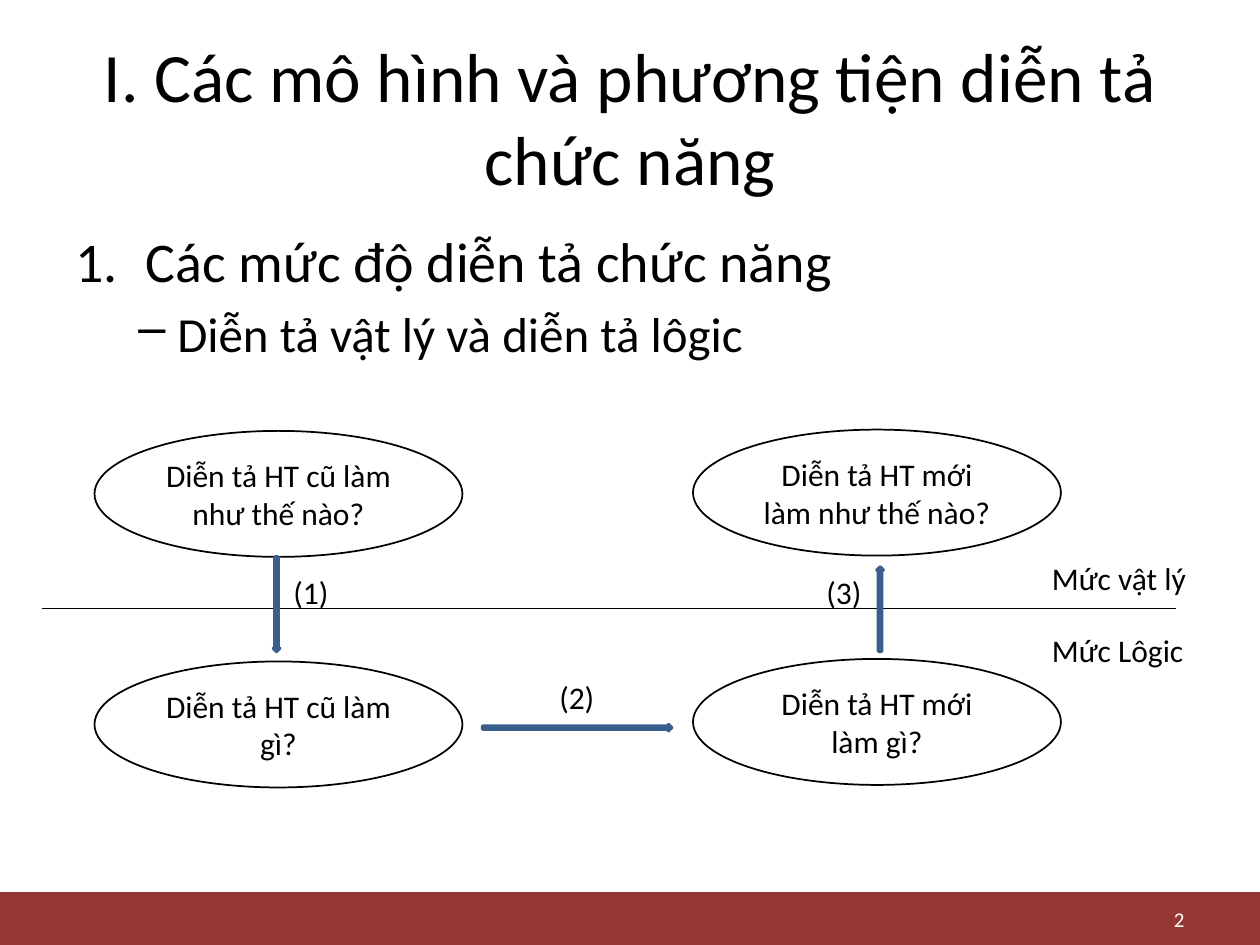
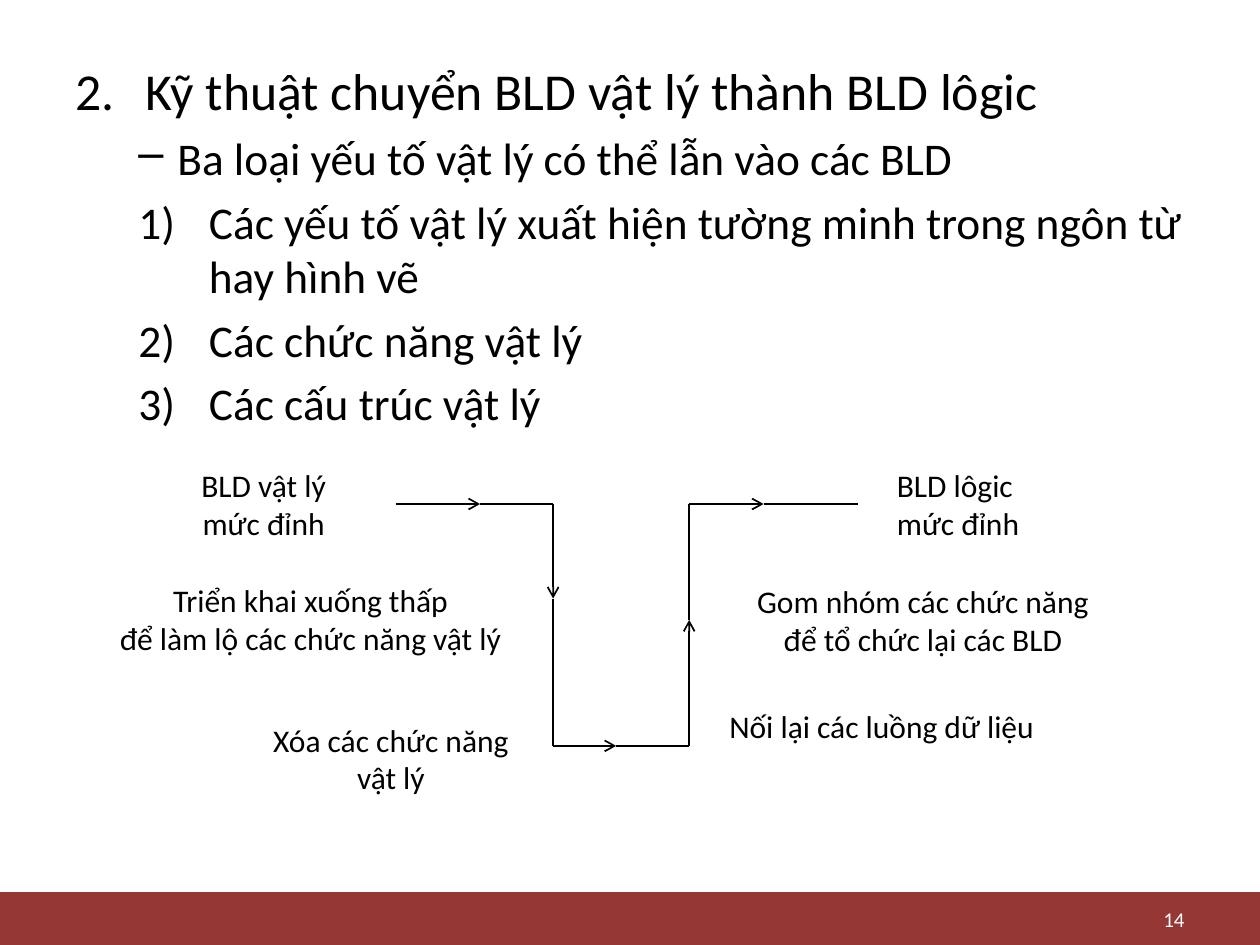
from itertools import pairwise

from lxml import etree
from pptx import Presentation
from pptx.dml.color import RGBColor
from pptx.enum.shapes import MSO_CONNECTOR as Connector, MSO_SHAPE as Shape
from pptx.enum.text import MSO_ANCHOR as Anchor, MSO_AUTO_SIZE as AutoSize, PP_ALIGN as Align
from pptx.oxml.ns import qn
from pptx.util import Inches, Pt

COLORS = {
    "text": "000000",
    "outline": "000000",
    "band": "953735",
    "page_number": "FFFFFF",
    "arrow": "4F81BD",
    "arrow_line": "3A5F8C",
}
FONT = "Calibri"
TITLE_ONLY, BLANK = 5, 6

# Outline styles: level, text indent, hanging indent, bullet tag, bullet attributes
OUTLINE = {
    "heading": (0, 0.56, 0.56, "a:buAutoNum", {"type": "arabicPeriod"}),
    "dash": (1, 0.81, 0.31, "a:buChar", {"char": "–"}),
    "numbered": (1, 1.06, 0.56, "a:buAutoNum", {"type": "arabicParenR"}),
}


def color(name):
    return RGBColor.from_string(COLORS[name])


class SlideBuilder:
    def __init__(self, presentation):
        self.presentation = presentation
        self.slide = None

    def start(self, page_number, title=None):
        """Add a slide with the shared band, page number and optional title."""
        layout = TITLE_ONLY if title else BLANK
        self.slide = self.presentation.slides.add_slide(self.presentation.slide_layouts[layout])
        self.shape(Shape.RECTANGLE, (0, 7.08, 10, 0.42), fill="band")
        if title:
            self.title(title)
        self.text((7.17, 7.17, 2.33, 0.25), [page_number], [Align.RIGHT], size=12,
                  ink="page_number", wrap=True, anchor=Anchor.MIDDLE)

    def run(self, paragraph, text, size, ink="text"):
        run = paragraph.add_run()
        run.text = text
        run.font.name = FONT
        run.font.size = Pt(size)
        run.font.color.rgb = color(ink)

    def title(self, text):
        title = self.slide.shapes.title
        title.left, title.top, title.width, title.height = map(Inches, (0.5, 0.3, 9, 1.25))
        frame = title.text_frame
        frame.auto_size = AutoSize.NONE
        frame.vertical_anchor = Anchor.MIDDLE
        paragraph = frame.paragraphs[0]
        paragraph.alignment = Align.CENTER
        self.run(paragraph, text, 39.6)

    def fill_frame(self, frame, lines, alignments, size, ink="text"):
        for index, (line, alignment) in enumerate(zip(lines, alignments)):
            paragraph = frame.add_paragraph() if index else frame.paragraphs[0]
            paragraph.alignment = alignment
            self.run(paragraph, line, size, ink)

    def text(self, box, lines, alignments=(Align.LEFT, Align.CENTER), size=18,
             ink="text", wrap=False, anchor=Anchor.TOP):
        frame = self.slide.shapes.add_textbox(*map(Inches, box)).text_frame
        frame.word_wrap = wrap
        frame.vertical_anchor = anchor
        self.fill_frame(frame, lines, alignments, size, ink)

    def outline(self, box, items, sizes, first_number=1):
        """Add a bulleted outline; sizes holds one text size per level."""
        frame = self.slide.shapes.add_textbox(*map(Inches, box)).text_frame
        frame.word_wrap = True
        for index, (style, text) in enumerate(items):
            level, indent, hanging, tag, attributes = OUTLINE[style]
            paragraph = frame.add_paragraph() if index else frame.paragraphs[0]
            paragraph.level = level
            paragraph.space_before = Pt(sizes[level] * 0.2)
            self.run(paragraph, text, sizes[level])
            properties = paragraph._p.get_or_add_pPr()
            properties.set("marL", str(Inches(indent)))
            properties.set("indent", str(-Inches(hanging)))
            bullet = etree.SubElement(properties, qn(tag), attributes)
            if style == "heading" and first_number > 1:
                bullet.set("startAt", str(first_number))

    def shape(self, kind, box, fill=None, line=None, line_width=1):
        shape = self.slide.shapes.add_shape(kind, *map(Inches, box))
        shape.shadow.inherit = False
        if fill:
            shape.fill.solid()
            shape.fill.fore_color.rgb = color(fill)
        else:
            shape.fill.background()
        if line:
            shape.line.color.rgb = color(line)
            shape.line.width = Pt(line_width)
        else:
            shape.line.fill.background()
        return shape

    def ellipse(self, left, top, text):
        ellipse = self.shape(Shape.OVAL, (left, top, 2.92, 1), line="outline")
        frame = ellipse.text_frame
        frame.word_wrap = True
        frame.vertical_anchor = Anchor.MIDDLE
        self.fill_frame(frame, [text], [Align.CENTER], 18)

    def block_arrow(self, kind, box):
        self.shape(kind, box, fill="arrow", line="arrow_line", line_width=2)

    def line(self, start, end, width=1, arrow=False):
        connector = self.slide.shapes.add_connector(
            Connector.STRAIGHT, *map(Inches, (*start, *end)))
        connector.line.color.rgb = color("outline")
        connector.line.width = Pt(width)
        if arrow:
            etree.SubElement(connector.line._get_or_add_ln(), qn("a:tailEnd"), type="arrow")
        etree.SubElement(connector._element.spPr, qn("a:effectLst"))


def add_description_levels(builder):
    builder.start("2", "I. Các mô hình và phương tiện diễn tả chức năng")
    builder.outline((0.5, 1.75, 9, 1.33), [
        ("heading", "Các mức độ diễn tả chức năng"),
        ("dash", "Diễn tả vật lý và diễn tả lôgic"),
    ], sizes=(32, 28))

    for left, top, question in [
        (0.75, 3.42, "Diễn tả HT cũ làm như thế nào?"),
        (0.75, 5.25, "Diễn tả HT cũ làm gì?"),
        (5.5, 5.23, "Diễn tả HT mới làm gì?"),
        (5.5, 3.41, "Diễn tả HT mới làm như thế nào?"),
    ]:
        builder.ellipse(left, top, question)

    builder.line((0.33, 4.83), (9.33, 4.83), width=0.75)
    builder.block_arrow(Shape.DOWN_ARROW, (2.17, 4.42, 0.05, 0.75))
    builder.block_arrow(Shape.RIGHT_ARROW, (3.83, 5.75, 1.5, 0.05))
    builder.block_arrow(Shape.UP_ARROW, (6.96, 4.5, 0.05, 0.67))

    for step, (left, top) in enumerate([(2.23, 4.5), (4.34, 5.33), (6.46, 4.5)], start=1):
        builder.text((left, top, 0.48, 0.4), [f"({step})"])
    for top, level_name in [(4.39, "Mức vật lý"), (4.96, "Mức Lôgic")]:
        builder.text((8.25, top, 1.5, 0.4), [level_name], wrap=True)


def add_conversion_technique(builder):
    builder.start("14")
    builder.outline((0.5, 0.42, 9, 2.75), [
        ("heading", "Kỹ thuật chuyển BLD vật lý thành BLD lôgic"),
        ("dash", "Ba loại yếu tố vật lý có thể lẫn vào các BLD"),
        ("numbered", "Các yếu tố vật lý xuất hiện tường minh trong ngôn từ hay hình vẽ"),
        ("numbered", "Các chức năng vật lý"),
        ("numbered", "Các cấu trúc vật lý"),
    ], sizes=(29.6, 25.9), first_number=2)

    # Every other segment of the route ends in an arrowhead
    top, bottom, left, right = 4, 5.92, 4.39, 5.47
    route = [
        (3.14, top), (3.81, top), (left, top), (left, 4.75), (left, bottom), (4.89, bottom),
        (right, bottom), (right, 4.92), (right, top), (6.06, top), (6.81, top),
    ]
    for index, (start, end) in enumerate(pairwise(route)):
        builder.line(start, end, arrow=index % 2 == 0)

    centered = (Align.CENTER, Align.CENTER)
    builder.text((1.5, 3.65, 1.2, 0.71), ["BLD vật lý", "mức đỉnh"])
    builder.text((0.83, 4.56, 3.27, 0.71),
                 ["Triển khai xuống thấp", "để làm lộ các chức năng vật lý"], centered)
    builder.text((2.07, 5.67, 2.1, 0.71), ["Xóa các chức năng", "vật lý"])
    builder.text((5.69, 5.56, 2.65, 0.4), ["Nối lại các luồng dữ liệu"])
    builder.text((5.89, 4.57, 2.87, 0.71),
                 ["Gom nhóm các chức năng", "để tổ chức lại các BLD"], centered)
    builder.text((7.02, 3.65, 1.2, 0.71), ["BLD lôgic", "mức đỉnh"])


def main():
    presentation = Presentation()
    presentation.slide_width, presentation.slide_height = Inches(10), Inches(7.5)
    builder = SlideBuilder(presentation)
    add_description_levels(builder)
    add_conversion_technique(builder)
    presentation.save("out.pptx")


if __name__ == "__main__":
    main()
